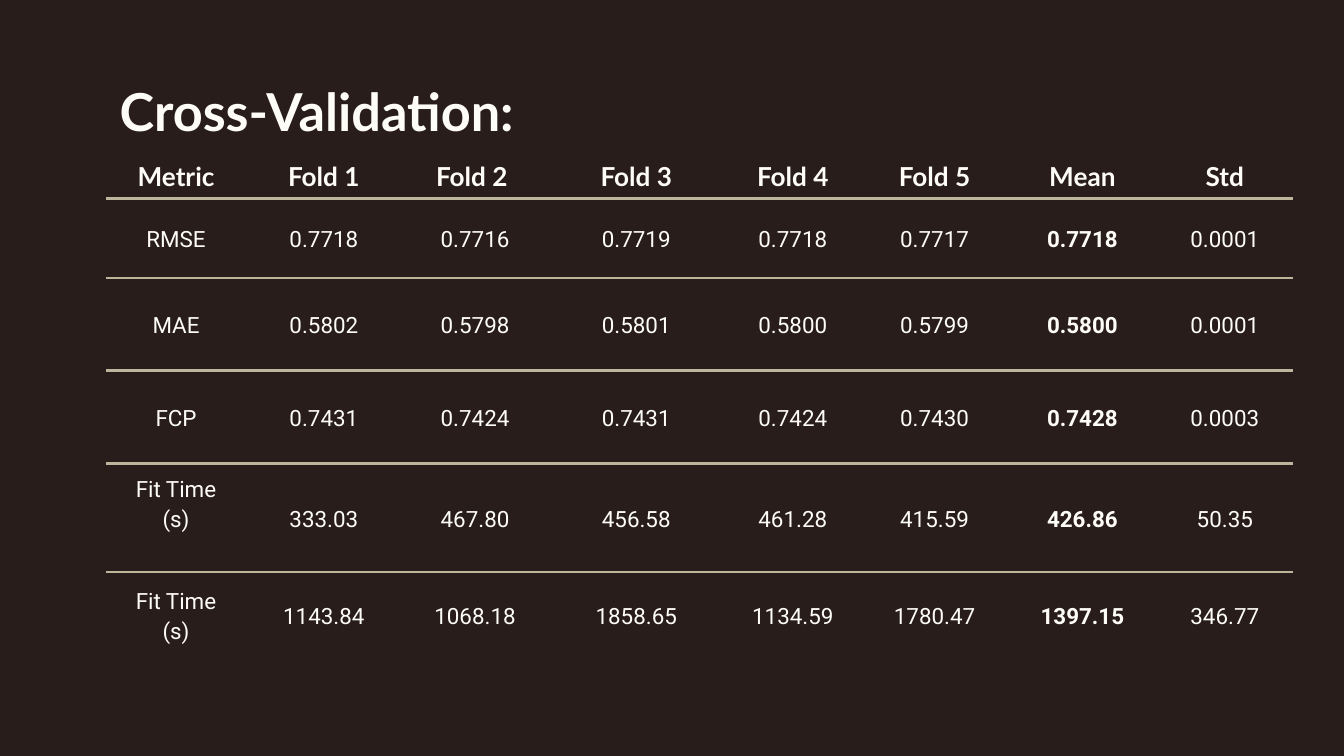
from pptx import Presentation
from pptx.dml.color import RGBColor
from pptx.enum.text import MSO_ANCHOR, MSO_AUTO_SIZE, PP_ALIGN
from pptx.oxml import parse_xml
from pptx.oxml.ns import nsdecls, qn
from pptx.util import Inches, Pt

COLORS = {"back": "281D1B", "text": "FEFCF6", "rule": "BDB69D"}
PLAIN = "{2D5ABB26-0587-4C30-8999-92F81FD0307C}"
WIDTHS = [1.04, 1.16, 1.09, 1.31, 1.02, 1.09, 1.11, 1.01]
HEIGHTS = [0.33, 0.59, 0.69, 0.69, 0.75, 0.64]
MEAN = 6
TALL = 4
ROWS = [
    ["Metric", "Fold 1", "Fold 2 ", "Fold 3", "Fold 4", "Fold 5", "Mean", "Std"],
    ["RMSE", "0.7718", "0.7716", "0.7719", "0.7718", "0.7717", "0.7718", "0.0001"],
    ["MAE", "0.5802", "0.5798", "0.5801", "0.5800", "0.5799", "0.5800", "0.0001"],
    ["FCP", "0.7431", "0.7424", "0.7431", "0.7424", "0.7430", "0.7428", "0.0003"],
    ["Fit Time (s)", "333.03", "467.80", "456.58", "461.28", "415.59", "426.86", "50.35"],
    ["Fit Time (s)", "1143.84", "1068.18", "1858.65", "1134.59", "1780.47", "1397.15", "346.77"],
]


def color(name):
    return RGBColor.from_string(COLORS[name])


def set_font(para, face, size, bold):
    font = para.font
    font.name = face
    font.size = Pt(size)
    font.bold = bold
    font.color.rgb = color("text")


def set_pad(box, side, top, base):
    box.margin_left = box.margin_right = Inches(side)
    box.margin_top = Inches(top)
    box.margin_bottom = Inches(base)


def add_title(slide, text):
    title = slide.shapes.title
    title.left, title.top = Inches(0.79), Inches(0.49)
    title.width, title.height = Inches(8.43), Inches(0.63)
    frame = title.text_frame
    frame.text = text
    frame.auto_size = MSO_AUTO_SIZE.NONE
    frame.vertical_anchor = MSO_ANCHOR.TOP
    set_pad(frame, 0.1, 0.1, 0.1)
    para = frame.paragraphs[0]
    para.alignment = PP_ALIGN.LEFT
    set_font(para, "Lato", 28, True)


def add_rule(cell, side):
    line = parse_xml(
        f'<a:{side} {nsdecls("a")} w="{Pt(1.5)}"><a:solidFill>'
        f'<a:srgbClr val="{COLORS["rule"]}"/></a:solidFill></a:{side}>'
    )
    cell._tc.get_or_add_tcPr().insert(0, line)


def fill_cell(cell, text, row, col):
    cell.text = text
    cell.vertical_anchor = MSO_ANCHOR.MIDDLE
    cell.fill.background()
    para = cell.text_frame.paragraphs[0]
    para.alignment = PP_ALIGN.CENTER
    para.line_spacing = 1.15
    if row == 0:
        set_pad(cell, 0.1, 0.05, 0.05)
        set_font(para, "Lato", 14, True)
    else:
        if col == 0:
            set_pad(cell, 0.1, 0.07, 0.29 if row == TALL else 0.07)
        else:
            set_pad(cell, 0.05, 0.03, 0.03)
        set_font(para, "Roboto", 12, col == MEAN)
    if row < len(ROWS) - 1:
        add_rule(cell, "lnB")
    if row > 0:
        add_rule(cell, "lnT")


def add_grid(slide):
    frame = slide.shapes.add_table(
        len(ROWS), len(WIDTHS), Inches(0.79), Inches(1.11),
        Inches(8.84), Inches(3.79),
    )
    table = frame.table
    table.first_row = table.horz_banding = False
    table._tbl.tblPr.find(qn("a:tableStyleId")).text = PLAIN
    for col, width in zip(table.columns, WIDTHS):
        col.width = Inches(width)
    for row, height in zip(table.rows, HEIGHTS):
        row.height = Inches(height)
    for row, texts in enumerate(ROWS):
        for col, text in enumerate(texts):
            fill_cell(table.cell(row, col), text, row, col)


def main():
    deck = Presentation()
    deck.slide_width = Inches(10)
    deck.slide_height = deck.slide_width * 9 // 16
    slide = deck.slides.add_slide(deck.slide_layouts[5])
    back = slide.background.fill
    back.solid()
    back.fore_color.rgb = color("back")
    add_title(slide, "Cross-Validation:")
    add_grid(slide)
    deck.save("out.pptx")


if __name__ == "__main__":
    main()
